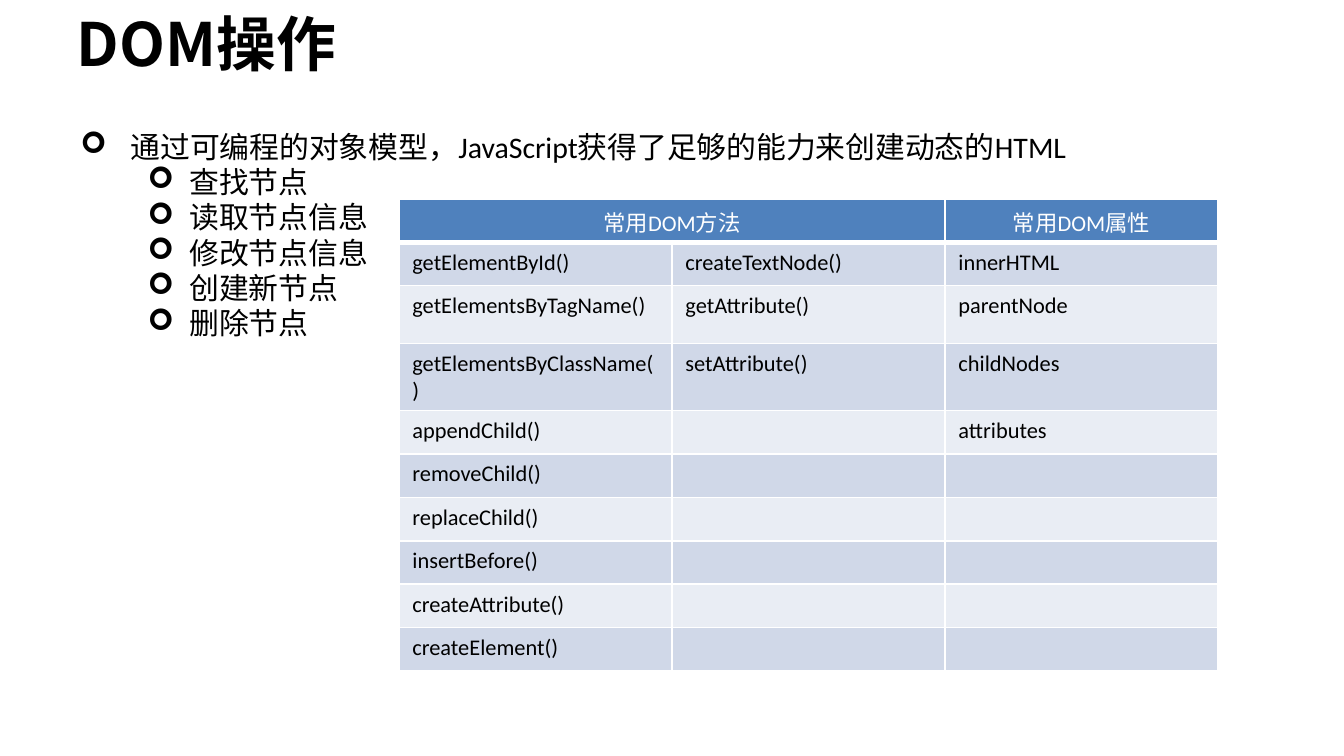
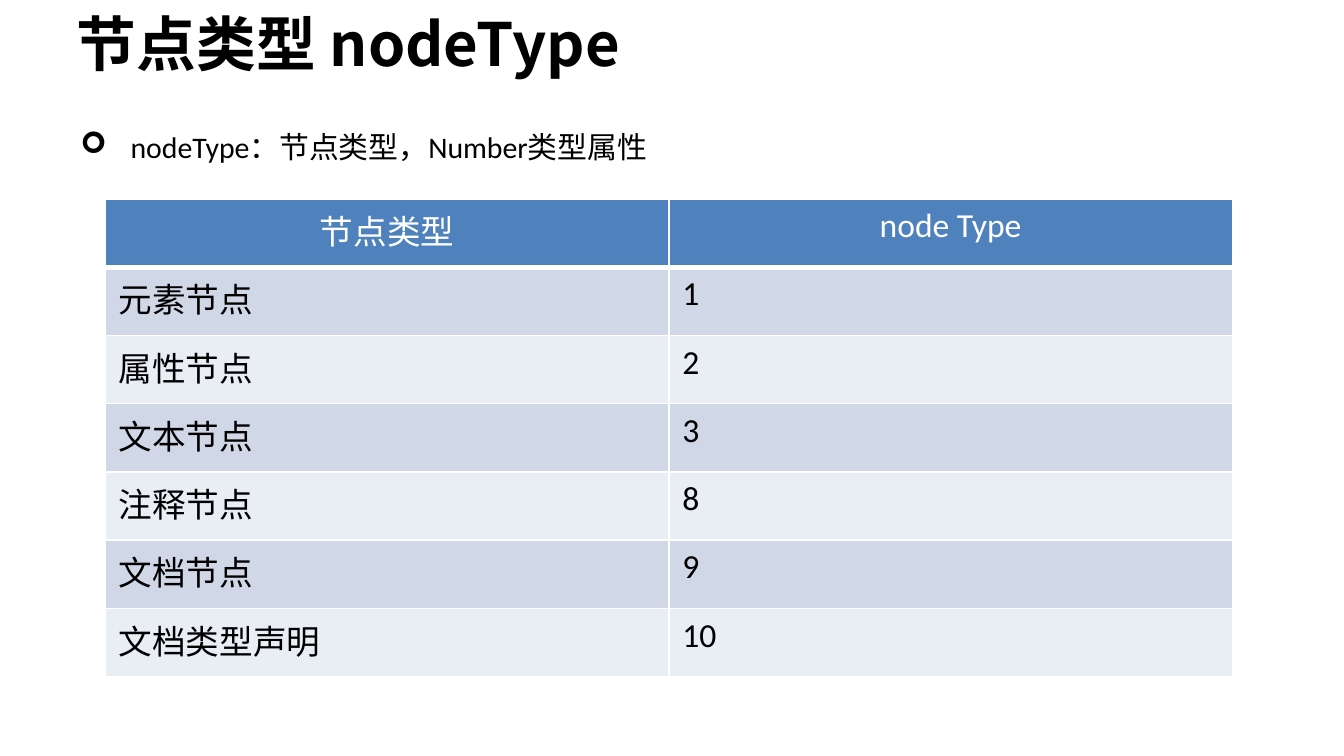
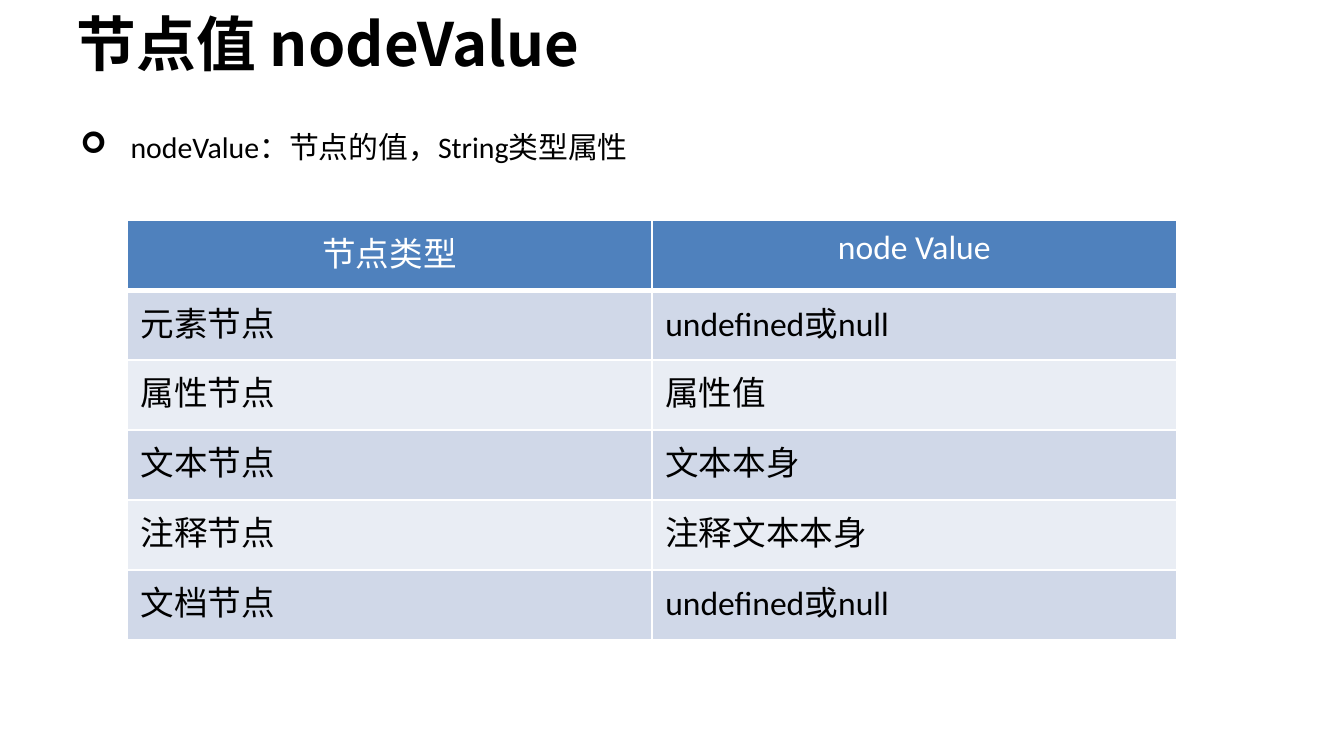
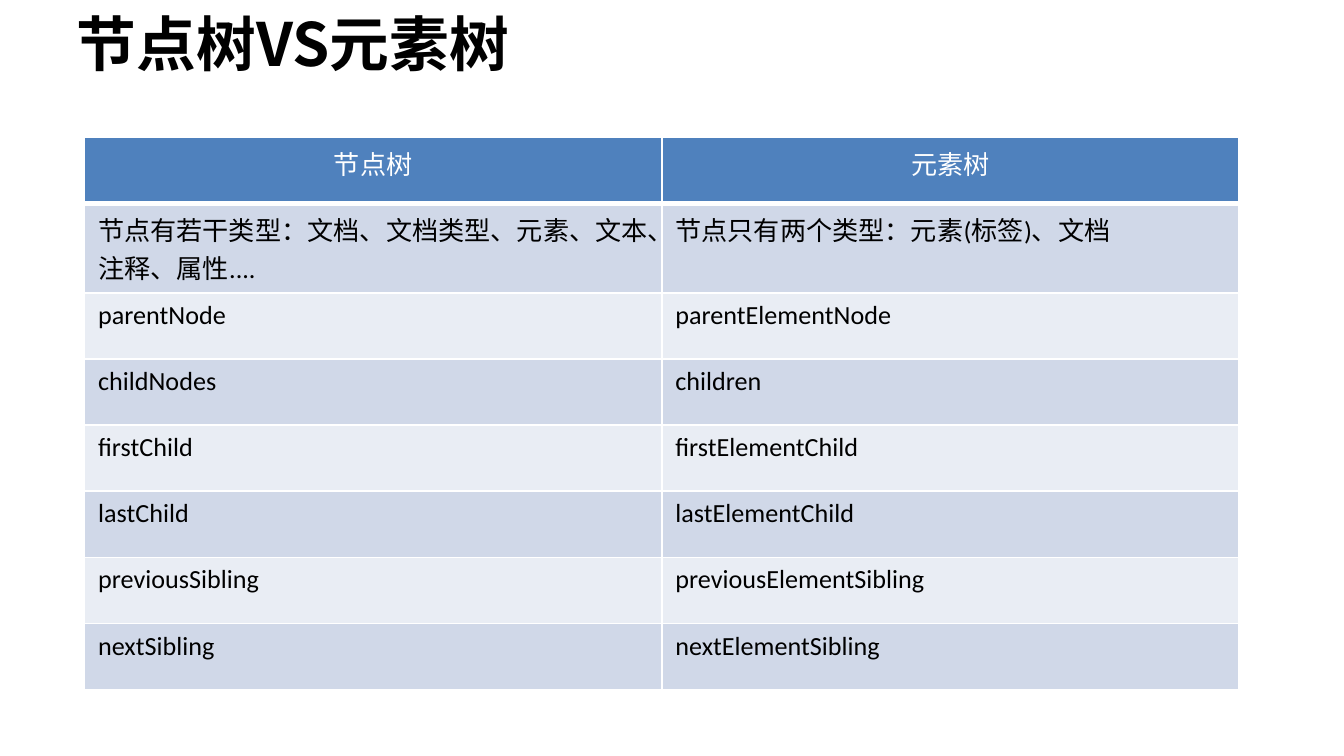
from dataclasses import dataclass, field

from lxml.etree import SubElement
from pptx import Presentation
from pptx.dml.color import RGBColor
from pptx.enum.text import MSO_ANCHOR as Anchor, MSO_AUTO_SIZE as AutoSize, PP_ALIGN as Align
from pptx.oxml.ns import qn
from pptx.util import Cm, Pt

# Shared style
BLACK, WHITE = "000000", "FFFFFF"
HEADER_FILL = "4F81BD"
BAND_FILLS = ("D0D8E8", "E9EDF4")
LATIN_FONT, CJK_FONT = "Calibri", "Noto Sans CJK SC"
TITLE_SIZE, BODY_SIZE = 32, 16
TITLE_BOX = (1.2, 0.2, 22.86, 1.22)
BODY_BOX = (1.27, 2.39, 22.86, 11.13)
BULLET = "➢"
BULLET_INDENTS = ((0.95, 0.95), (2.06, 0.79))  # text margin, hanging part
TITLE_ONLY = 5


@dataclass
class Grid:
    """A banded table; a blank header cell joins the one on its left."""
    left: float
    top: float
    column_width: float
    row_height: float
    size: int
    header: tuple[str, ...]
    rows: list[tuple[str, ...]]
    tall_rows: dict[int, float] = field(default_factory=dict)


@dataclass
class Page:
    title: str
    grid: Grid
    lead: str = ""
    points: tuple[str, ...] = ()


PAGES = [
    Page(
        "DOM操作",
        Grid(7.54, 3.76, 5.16, 0.82, 12,
             ("常用DOM方法", "", "常用DOM属性"),
             [("getElementById()", "createTextNode()", "innerHTML"),
              ("getElementsByTagName()", "getAttribute()", "parentNode"),
              ("getElementsByClassName()", "setAttribute()", "childNodes"),
              ("appendChild()", "", "attributes"),
              ("removeChild()", "", ""),
              ("replaceChild()", "", ""),
              ("insertBefore()", "", ""),
              ("createAttribute()", "", ""),
              ("createElement()", "", "")],
             {2: 1.09, 3: 1.09}),
        "通过可编程的对象模型，JavaScript获得了足够的能力来创建动态的HTML",
        ("查找节点", "读取节点信息", "修改节点信息", "创建新节点", "删除节点"),
    ),
    Page(
        "节点类型 nodeType",
        Grid(1.99, 3.76, 10.65, 1.29, 18,
             ("节点类型", "node Type"),
             [("元素节点", "1"), ("属性节点", "2"), ("文本节点", "3"),
              ("注释节点", "8"), ("文档节点", "9"), ("文档类型声明", "10")]),
        "nodeType：节点类型，Number类型属性",
    ),
    Page(
        "节点值 nodeValue",
        Grid(2.4, 4.17, 9.92, 1.32, 18,
             ("节点类型", "node Value"),
             [("元素节点", "undefined或null"), ("属性节点", "属性值"),
              ("文本节点", "文本本身"), ("注释节点", "注释文本本身"),
              ("文档节点", "undefined或null")]),
        "nodeValue：节点的值，String类型属性",
    ),
    Page(
        "节点树VS元素树",
        Grid(1.6, 2.59, 10.91, 1.25, 14,
             ("节点树", "元素树"),
             [("节点有若干类型：文档、文档类型、元素、文本、注释、属性....",
               "节点只有两个类型：元素(标签)、文档"),
              ("parentNode", "parentElementNode"),
              ("childNodes", "children"),
              ("firstChild", "firstElementChild"),
              ("lastChild", "lastElementChild"),
              ("previousSibling", "previousElementSibling"),
              ("nextSibling", "nextElementSibling")],
             {1: 1.38}),
    ),
]


def color(value: str) -> RGBColor:
    return RGBColor.from_string(value)


def style_para(para, size: int, ink: str = BLACK, font: str = LATIN_FONT,
               bold: bool = False) -> None:
    for span in para.runs:
        span.font.name = font
        span.font.size = Pt(size)
        span.font.bold = bold
        span.font.color.rgb = color(ink)
        SubElement(span.font._element, qn("a:ea"), typeface=CJK_FONT)
    if not para.runs:
        # Keeps an empty cell from growing its row
        SubElement(para._p, qn("a:endParaRPr"), sz=str(size * 100))


def add_title(slide, text: str) -> None:
    title = slide.shapes.title
    title.left, title.top, title.width, title.height = map(Cm, TITLE_BOX)
    frame = title.text_frame
    frame.text = text
    frame.auto_size = AutoSize.NONE
    frame.vertical_anchor = Anchor.MIDDLE
    para = frame.paragraphs[0]
    para.alignment = Align.LEFT
    style_para(para, TITLE_SIZE, font=CJK_FONT, bold=True)


def add_bullets(slide, lead: str, points: tuple[str, ...]) -> None:
    frame = slide.shapes.add_textbox(*map(Cm, BODY_BOX)).text_frame
    frame.word_wrap = True
    frame.text = "\n".join((lead, *points))
    for index, para in enumerate(frame.paragraphs):
        para.level = min(index, 1)
        para.line_spacing = 0.88
        para.space_before = Pt(2)
        margin, hanging = BULLET_INDENTS[para.level]
        properties = para._p.get_or_add_pPr()
        properties.set("marL", str(Cm(margin)))
        properties.set("indent", str(-Cm(hanging)))
        SubElement(properties, qn("a:buFont"), typeface="Wingdings")
        SubElement(properties, qn("a:buChar"), char=BULLET)
        style_para(para, BODY_SIZE)


def add_borders(cell, bottom: int) -> None:
    properties = cell._tc.get_or_add_tcPr()
    for side, width in (("L", 1), ("R", 1), ("T", 1), ("B", bottom)):
        line = SubElement(properties, qn(f"a:ln{side}"), w=str(Pt(width)))
        fill = SubElement(line, qn("a:solidFill"))
        SubElement(fill, qn("a:srgbClr"), val=WHITE)


def fill_cell(cell, text: str, row: int, size: int) -> None:
    is_header = row == 0
    add_borders(cell, bottom=3 if is_header else 1)
    cell.fill.solid()
    cell.fill.fore_color.rgb = color(HEADER_FILL if is_header else BAND_FILLS[(row - 1) % 2])
    cell.text_frame.text = text
    para = cell.text_frame.paragraphs[0]
    para.alignment = Align.CENTER if is_header else Align.LEFT
    style_para(para, size, WHITE if is_header else BLACK)


def add_grid(slide, grid: Grid) -> None:
    lines = [grid.header, *grid.rows]
    heights = [grid.tall_rows.get(row, grid.row_height) for row in range(len(lines))]
    columns = len(grid.header)
    table = slide.shapes.add_table(
        len(lines), columns, Cm(grid.left), Cm(grid.top),
        Cm(grid.column_width * columns), Cm(sum(heights))).table
    for column in table.columns:
        column.width = Cm(grid.column_width)
    for row, (texts, height) in enumerate(zip(lines, heights)):
        table.rows[row].height = Cm(height)
        for column, text in enumerate(texts):
            fill_cell(table.cell(row, column), text, row, grid.size)
    for column, text in enumerate(grid.header):
        if not text:
            table.cell(0, column - 1).merge(table.cell(0, column))


def main() -> None:
    deck = Presentation()
    deck.slide_width, deck.slide_height = Cm(25.4), Cm(14.29)
    for page in PAGES:
        slide = deck.slides.add_slide(deck.slide_layouts[TITLE_ONLY])
        add_title(slide, page.title)
        if page.lead:
            add_bullets(slide, page.lead, page.points)
        add_grid(slide, page.grid)
    deck.save("out.pptx")


if __name__ == "__main__":
    main()
